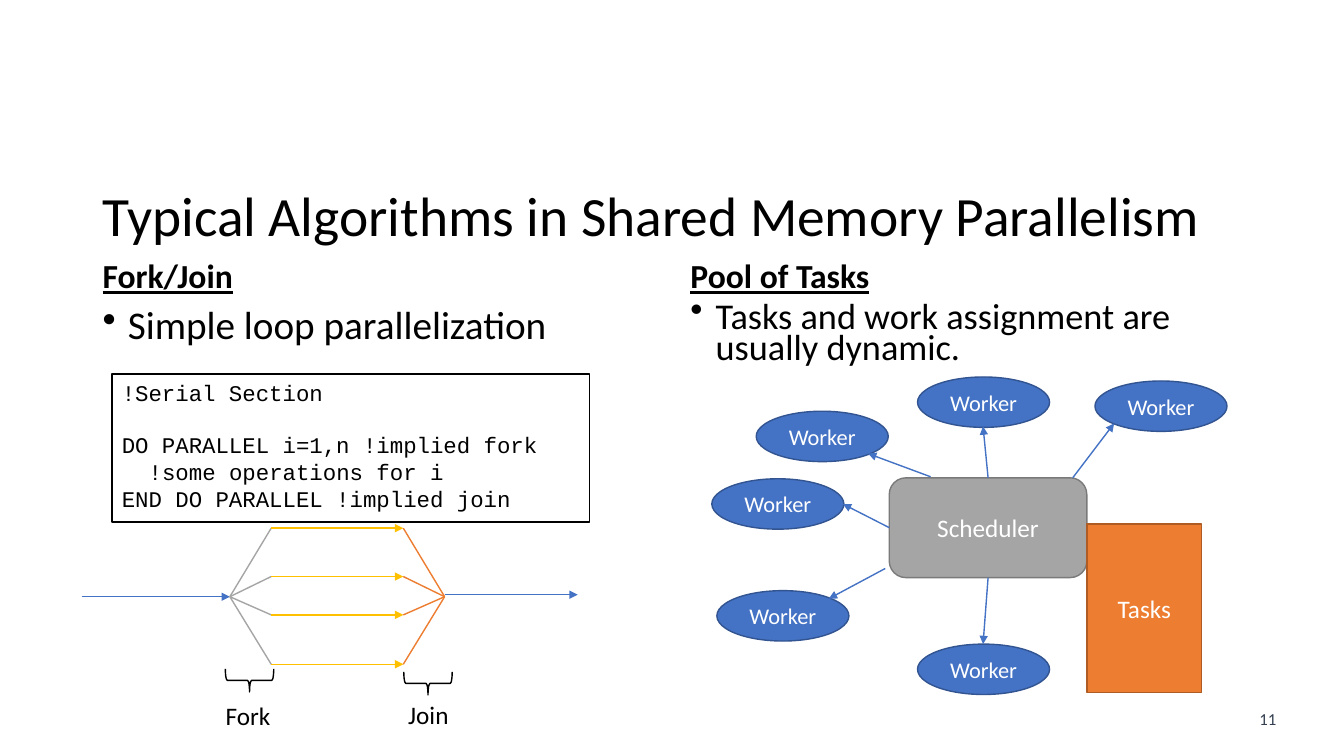
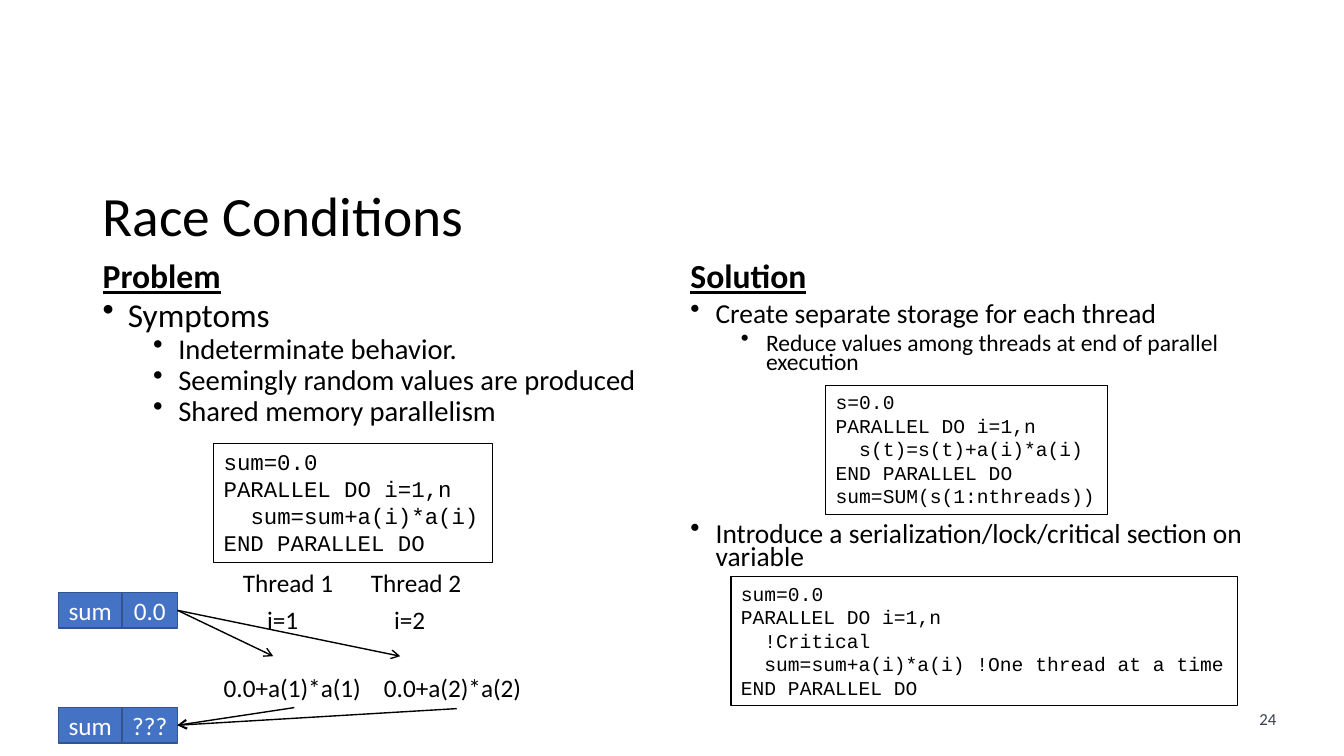
"""Build two slides on shared memory parallelism and race conditions."""
from dataclasses import dataclass
from typing import Optional

from lxml import etree
from pptx import Presentation
from pptx.dml.color import RGBColor
from pptx.enum.shapes import MSO_CONNECTOR, MSO_SHAPE
from pptx.enum.text import MSO_ANCHOR, MSO_AUTO_SIZE, PP_ALIGN
from pptx.oxml.ns import qn
from pptx.util import Inches, Pt

STRAIGHT = MSO_CONNECTOR.STRAIGHT
RECTANGLE = MSO_SHAPE.RECTANGLE
ROUNDED = MSO_SHAPE.ROUNDED_RECTANGLE
ELLIPSE = MSO_SHAPE.OVAL
BRACE = MSO_SHAPE.LEFT_BRACE
TOP, MIDDLE, BOTTOM = MSO_ANCHOR.TOP, MSO_ANCHOR.MIDDLE, MSO_ANCHOR.BOTTOM
LEFT, CENTER = PP_ALIGN.LEFT, PP_ALIGN.CENTER
NO_AUTOFIT = MSO_AUTO_SIZE.NONE
SIDE_TOP, SIDE_LEFT, SIDE_BOTTOM, SIDE_RIGHT = range(4)

BODY_FONT = "Calibri"
CODE_FONT = "Courier New"
CODE_CHARACTER = 0.6
CODE_LINE = 1.13
TITLE_ONLY = 5
COLORS = {
    "black": "000000", "white": "FFFFFF", "number": "333F50",
    "blue": "4472C4", "blue_edge": "325491",
    "gray": "A5A5A5", "gray_edge": "7A7A7A",
    "orange": "ED7D31", "orange_edge": "AF5C24", "gold": "FFC000",
}


@dataclass(frozen=True)
class Box:
    left: float
    top: float
    width: float
    height: float

    def lengths(self) -> tuple:
        return tuple(Inches(value) for value in (self.left, self.top, self.width, self.height))


@dataclass(frozen=True)
class Bullet:
    text: str
    size: float
    level: int = 0
    spacing: float = 0.7
    before: Optional[float] = None


@dataclass(frozen=True)
class Worker:
    left: float
    top: float
    start: tuple
    end: tuple
    side: Optional[int] = None


@dataclass(frozen=True)
class Label:
    text: str
    box: Box


TITLE_BOX = Box(0.92, 1.82, 11.5, 0.7)
NUMBER_BOX = Box(12.34, 6.98, 0.47, 0.3)
COLUMNS = ((0.92, 5.64), (6.75, 5.67))
HEADING_TOP, HEADING_HEIGHT, BODY_TOP = 2.53, 0.45, 2.98

WORKERS = (
    Worker(10.86, 3.78, (10.64, 4.74), (11.05, 4.2)),
    Worker(9.1, 3.74, (9.8, 4.74), (9.75, 4.23), SIDE_TOP),
    Worker(7.5, 4.08, (9.23, 4.73), (8.61, 4.5)),
    Worker(7.06, 4.75, (8.82, 5.23), (8.36, 5), SIDE_LEFT),
    Worker(7.11, 5.86, (8.78, 5.64), (8.22, 5.94)),
    Worker(9.1, 6.39, (9.8, 5.73), (9.75, 6.39), SIDE_BOTTOM),
)


def color(name: str) -> RGBColor:
    return RGBColor.from_string(COLORS[name])


def add_run(paragraph, text: str, size: float, tint: str = "black", font: str = BODY_FONT):
    run = paragraph.add_run()
    run.text = text
    run.font.name = font
    run.font.size = Pt(size)
    run.font.color.rgb = color(tint)
    return run


def set_indent(paragraph, margin: int, first: int = 0):
    properties = paragraph._p.get_or_add_pPr()
    properties.set("marL", str(int(margin)))
    properties.set("indent", str(int(first)))
    return properties


def add_text(slide, box: Box, anchor=TOP):
    frame = slide.shapes.add_textbox(*box.lengths()).text_frame
    frame.word_wrap = True
    frame.vertical_anchor = anchor
    return frame


def next_paragraph(frame, index: int):
    return frame.add_paragraph() if index else frame.paragraphs[0]


def add_label(slide, label: Label, size: float = 18, tint: str = "black", align=LEFT) -> None:
    paragraph = add_text(slide, label.box).paragraphs[0]
    paragraph.alignment = align
    add_run(paragraph, label.text, size, tint)


def add_shape(slide, kind, box: Box, edge: str, fill: Optional[str] = None,
              text: str = "", size: float = 18, width: float = 1):
    shape = slide.shapes.add_shape(kind, *box.lengths())
    shape.shadow.inherit = False
    if fill:
        shape.fill.solid()
        shape.fill.fore_color.rgb = color(fill)
    else:
        shape.fill.background()
    shape.line.color.rgb = color(edge)
    shape.line.width = Pt(width)
    if text:
        shape.text_frame.vertical_anchor = MIDDLE
        paragraph = shape.text_frame.paragraphs[0]
        paragraph.alignment = CENTER
        add_run(paragraph, text, size, "white")
    return shape


def add_line(slide, start: tuple, end: tuple, tint: str, arrow: str = ""):
    points = (Inches(value) for value in (*start, *end))
    line = slide.shapes.add_connector(STRAIGHT, *points)
    line.line.color.rgb = color(tint)
    line.line.width = Pt(1)
    if arrow:
        etree.SubElement(line.line._get_or_add_ln(), qn("a:tailEnd"), type=arrow)
    etree.SubElement(line._element.spPr, qn("a:effectLst"))
    return line


def add_code(slide, box: Box, size: float, lines: tuple, width: float = 0.75) -> None:
    frame = add_shape(slide, RECTANGLE, box, "black", "white", width=width).text_frame
    frame.word_wrap = True
    frame.vertical_anchor = TOP
    gap = False
    for text in lines:
        if not text:
            gap = True
            continue
        paragraph = next_paragraph(frame, len(frame.paragraphs[0].runs))
        paragraph.alignment = LEFT
        code = text.lstrip()
        set_indent(paragraph, Pt((len(text) - len(code)) * CODE_CHARACTER * size))
        if gap:
            paragraph.space_before = Pt(size * CODE_LINE)
            gap = False
        add_run(paragraph, code, size, font=CODE_FONT)


def add_column(slide, index: int, heading: str, height: float, bullets: tuple) -> None:
    left, width = COLUMNS[index]
    frame = add_text(slide, Box(left, HEADING_TOP, width, HEADING_HEIGHT), BOTTOM)
    paragraph = frame.paragraphs[0]
    paragraph.line_spacing = 0.8
    paragraph.space_before = Pt(10)
    run = add_run(paragraph, heading, 24)
    run.font.bold = True
    run.font.underline = True
    frame = add_text(slide, Box(left, BODY_TOP, width, height))
    for position, bullet in enumerate(bullets):
        paragraph = next_paragraph(frame, position)
        paragraph.level = bullet.level
        paragraph.line_spacing = bullet.spacing
        paragraph.space_before = Pt(bullet.before or (5 if bullet.level else 10))
        properties = set_indent(paragraph, Inches(0.25 + 0.5 * bullet.level), Inches(-0.25))
        etree.SubElement(properties, qn("a:buChar"), char="•")
        add_run(paragraph, bullet.text, bullet.size)


def add_slide(presentation, title: str, number: str):
    slide = presentation.slides.add_slide(presentation.slide_layouts[TITLE_ONLY])
    holder = slide.shapes.title
    holder.left, holder.top, holder.width, holder.height = TITLE_BOX.lengths()
    frame = holder.text_frame
    frame.auto_size = NO_AUTOFIT
    frame.vertical_anchor = MIDDLE
    paragraph = frame.paragraphs[0]
    paragraph.alignment = LEFT
    paragraph.line_spacing = 0.9
    add_run(paragraph, title, 39.6)
    add_label(slide, Label(number, NUMBER_BOX), 12, "number", CENTER)
    return slide


def draw_fork_join(slide) -> None:
    fork, join = (2.28, 5.92), (4.41, 5.92)
    add_line(slide, (0.81, 5.92), fork, "blue", "triangle")
    for height in (5.24, 5.72, 6.1, 6.59):
        lane_start, lane_end = (2.69, height), (4, height)
        add_line(slide, fork, lane_start, "gray")
        add_line(slide, lane_start, lane_end, "gold", "triangle")
        add_line(slide, join, lane_end, "orange")
    add_line(slide, (4.41, 5.9), (5.73, 5.9), "blue", "triangle")
    for brace, label in (
        (Box(2.36, 6.51, 0.23, 0.48), Label("Fork", Box(2.14, 6.9, 0.67, 0.4))),
        (Box(4.13, 6.54, 0.23, 0.48), Label("Join", Box(3.95, 6.89, 0.61, 0.4))),
    ):
        add_shape(slide, BRACE, brace, "black").rotation = 270
        add_label(slide, label)


def draw_task_pool(slide) -> None:
    scheduler = add_shape(slide, ROUNDED, Box(8.82, 4.74, 1.96, 0.99), "gray_edge", "gray", "Scheduler")
    for worker in WORKERS:
        box = Box(worker.left, worker.top, 1.31, 0.5)
        add_shape(slide, ELLIPSE, box, "blue_edge", "blue", "Worker", 16)
        line = add_line(slide, worker.start, worker.end, "blue", "triangle")
        if worker.side is not None:
            line.begin_connect(scheduler, worker.side)
    add_shape(slide, RECTANGLE, Box(10.78, 5.2, 1.14, 1.67), "orange_edge", "orange", "Tasks")


def draw_sum(slide, top: float, value: str):
    add_shape(slide, RECTANGLE, Box(0.58, top, 0.63, 0.35), "blue_edge", "blue", "sum")
    return add_shape(slide, RECTANGLE, Box(1.21, top, 0.55, 0.35), "blue_edge", "blue", value)


def draw_race(slide) -> None:
    before = draw_sum(slide, 5.88, "0.0")
    after = draw_sum(slide, 7.02, "???")
    for label in (
        Label("Thread 1", Box(2.31, 5.58, 1.15, 0.4)),
        Label("Thread 2", Box(3.58, 5.58, 1.15, 0.4)),
        Label("i=1", Box(2.55, 5.95, 0.69, 0.4)),
        Label("i=2", Box(3.81, 5.95, 0.69, 0.4)),
        Label("0.0+a(1)*a(1)", Box(2.12, 6.62, 1.59, 0.4)),
        Label("0.0+a(2)*a(2)", Box(3.71, 6.62, 1.63, 0.4)),
    ):
        add_label(slide, label)
    for read_end, write_start in (((2.71, 6.51), (2.92, 7.02)), ((3.97, 6.51), (4.53, 7.03))):
        read = add_line(slide, (1.76, 6.05), read_end, "black", "arrow")
        read.begin_connect(before, SIDE_RIGHT)
        write = add_line(slide, write_start, (1.76, 7.19), "black", "arrow")
        write.end_connect(after, SIDE_RIGHT)


def build_algorithms(presentation) -> None:
    slide = add_slide(presentation, "Typical Algorithms in Shared Memory Parallelism", "11")
    add_column(slide, 0, "Fork/Join", 3.9, (Bullet("Simple loop parallelization", 28, spacing=0.9),))
    add_column(slide, 1, "Pool of Tasks", 0.76,
               (Bullet("Tasks and work assignment are usually dynamic.", 25.9),))
    add_code(slide, Box(1.11, 3.71, 4.74, 1.47), 16, (
        "!Serial Section", "", "DO PARALLEL i=1,n !implied fork",
        "  !some operations for i", "END DO PARALLEL !implied join"), 1)
    draw_fork_join(slide)
    draw_task_pool(slide)


def build_race_conditions(presentation) -> None:
    slide = add_slide(presentation, "Race Conditions", "24")
    add_column(slide, 0, "Problem", 1.42, (
        Bullet("Symptoms", 23.8),
        Bullet("Indeterminate behavior.", 20.4, 1),
        Bullet("Seemingly random values are produced", 20.4, 1),
        Bullet("Shared memory parallelism", 20.4, 1)))
    add_column(slide, 1, "Solution", 2.97, (
        Bullet("Create separate storage for each thread", 19.6),
        Bullet("Reduce values among threads at end of parallel execution", 16.8, 1),
        Bullet("Introduce a serialization/lock/critical section on variable", 19.6, before=107)))
    add_code(slide, Box(2.12, 4.4, 2.77, 1.18), 16, (
        "sum=0.0", "PARALLEL DO i=1,n", "  sum=sum+a(i)*a(i)", "END PARALLEL DO"))
    draw_race(slide)
    add_code(slide, Box(8.19, 3.82, 2.79, 1.28), 14, (
        "s=0.0", "PARALLEL DO i=1,n", "  s(t)=s(t)+a(i)*a(i)", "END PARALLEL DO",
        "sum=SUM(s(1:nthreads))"))
    add_code(slide, Box(7.25, 5.72, 5.02, 1.28), 14, (
        "sum=0.0", "PARALLEL DO i=1,n", "  !Critical",
        "  sum=sum+a(i)*a(i) !One thread at a time", "END PARALLEL DO"))


def main() -> None:
    presentation = Presentation()
    presentation.slide_width = Inches(13.33)
    presentation.slide_height = Inches(7.5)
    build_algorithms(presentation)
    build_race_conditions(presentation)
    presentation.save("out.pptx")


if __name__ == "__main__":
    main()
